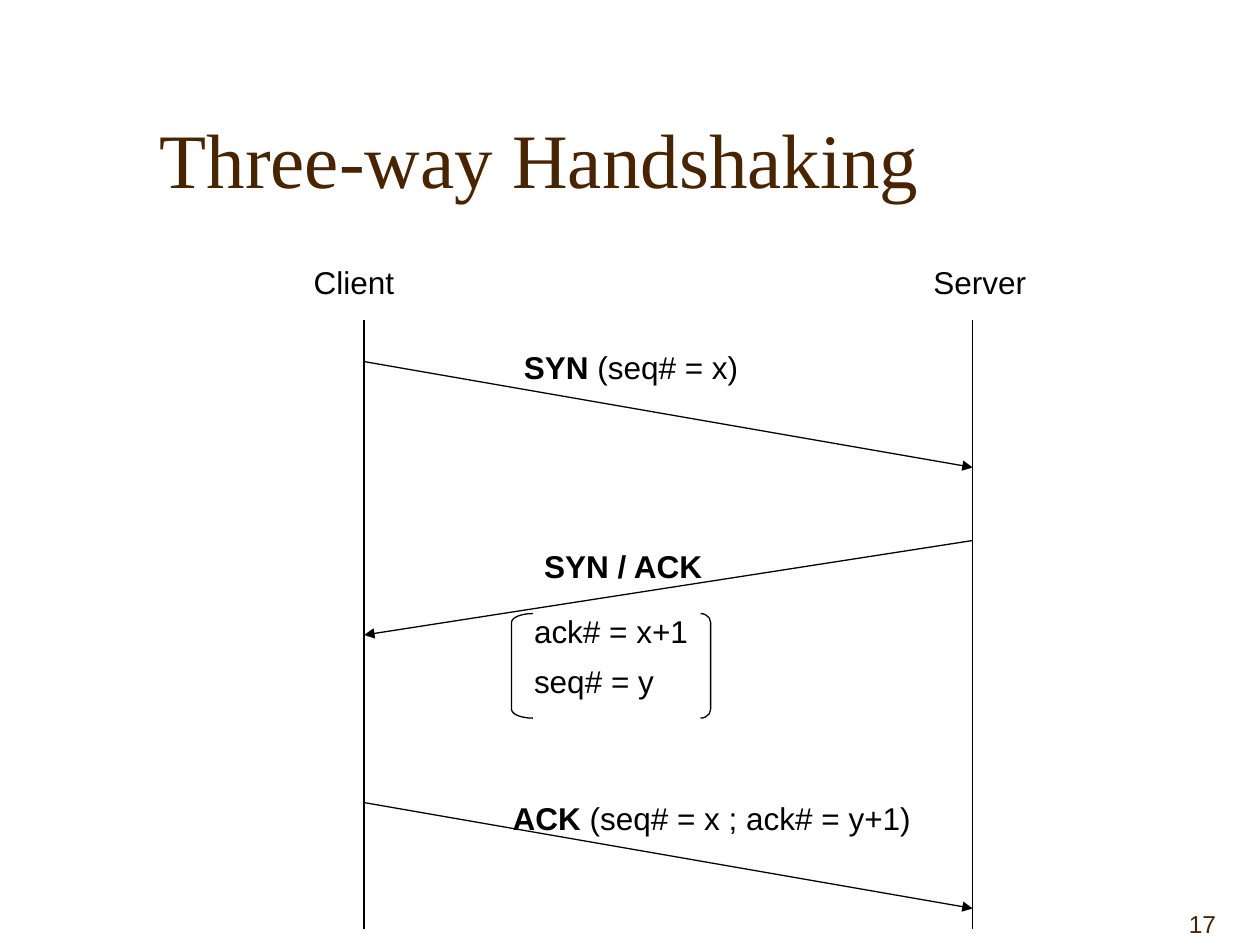
from lxml.etree import SubElement
from pptx import Presentation
from pptx.dml.color import RGBColor
from pptx.enum.shapes import MSO_CONNECTOR, MSO_SHAPE
from pptx.enum.text import MSO_ANCHOR, PP_ALIGN
from pptx.oxml.ns import qn
from pptx.util import Inches, Pt

INK = "000000"
BROWN = "482400"
CLIENT_X, SERVER_X = 2.89, 7.72


def paint(color_format, color):
    """Set a colour from a hex string."""
    color_format.rgb = RGBColor.from_string(color)


def add_text(slide, box, paragraphs, size=18, font="Arial", color=INK,
             anchor=MSO_ANCHOR.TOP, align=PP_ALIGN.LEFT, spacing=1.0):
    """Add a text box whose paragraphs are lists of (text, bold) runs."""
    frame = slide.shapes.add_textbox(*map(Inches, box)).text_frame
    frame.word_wrap = True
    frame.vertical_anchor = anchor
    for index, runs in enumerate(paragraphs):
        paragraph = frame.add_paragraph() if index else frame.paragraphs[0]
        paragraph.alignment = align
        paragraph.line_spacing = spacing
        if index:
            paragraph.space_before = Pt(11.2)
        for text, bold in runs:
            run = paragraph.add_run()
            run.text = text
            run.font.name = font
            run.font.size = Pt(size)
            run.font.bold = bold
            paint(run.font.color, color)


def add_line(slide, start, end, arrow=False):
    """Draw a thin straight line, with an arrowhead at its end if asked."""
    line = slide.shapes.add_connector(
        MSO_CONNECTOR.STRAIGHT, *map(Inches, (*start, *end)))
    line.line.width = Pt(0.75)
    paint(line.line.color, INK)
    if arrow:
        SubElement(line.line._get_or_add_ln(), qn("a:tailEnd"), type="triangle")
    SubElement(line._element.spPr, qn("a:effectLst"))


def add_bracket(slide, kind, left, width):
    """Draw one side of the brackets around the reply fields."""
    corner = 0.07
    bracket = slide.shapes.add_shape(
        kind, *map(Inches, (left, 4.87, width, 0.83)))
    bracket.adjustments[0] = corner / width
    bracket.shadow.inherit = False
    bracket.fill.background()
    bracket.line.width = Pt(0.75)
    paint(bracket.line.color, INK)


def main():
    """Build the handshake slide."""
    deck = Presentation()
    deck.slide_width, deck.slide_height = Inches(10), Inches(7.5)
    slide = deck.slides.add_slide(deck.slide_layouts[6])

    add_text(slide, (7.67, 7, 2.08, 0.5), [[("17", False)]], size=14,
             color=BROWN, anchor=MSO_ANCHOR.BOTTOM, align=PP_ALIGN.RIGHT)
    add_text(slide, (1.17, 0.42, 8.5, 1.25), [[("Three-way Handshaking", False)]],
             size=44, font="Times New Roman", color=BROWN,
             anchor=MSO_ANCHOR.BOTTOM)

    for host, x, left, width in (("Client", CLIENT_X, 2.39, 0.92),
                                 ("Server", SERVER_X, 7.31, 1)):
        add_line(slide, (x, 2.54), (x, 7.37))
        add_text(slide, (left, 2.04, width, 0.4), [[(host, False)]])

    for sender, sent, receiver, received in (
            (CLIENT_X, 2.87, SERVER_X, 3.71),
            (SERVER_X, 4.29, CLIENT_X, 5.04),
            (CLIENT_X, 6.37, SERVER_X, 7.21)):
        add_line(slide, (sender, sent), (receiver, received), arrow=True)

    for left, top, width, message in (
            (4.06, 2.71, 2.17, [("SYN", True), (" (seq# = x)", False)]),
            (4.22, 4.29, 1.5, [("SYN / ACK", True)]),
            (3.97, 6.29, 3.42, [("ACK", True),
                                (" (seq# = x ; ack# = y+1)", False)])):
        add_text(slide, (left, top, width, 0.4), [message])

    add_text(slide, (4.14, 4.87, 1.5, 0.74),
             [[("ack# = x+1", False)], [("seq# = y", False)]], spacing=0.8)
    add_bracket(slide, MSO_SHAPE.LEFT_BRACKET, 4.06, 0.17)
    add_bracket(slide, MSO_SHAPE.RIGHT_BRACKET, 5.56, 0.08)

    deck.save("out.pptx")


if __name__ == "__main__":
    main()
